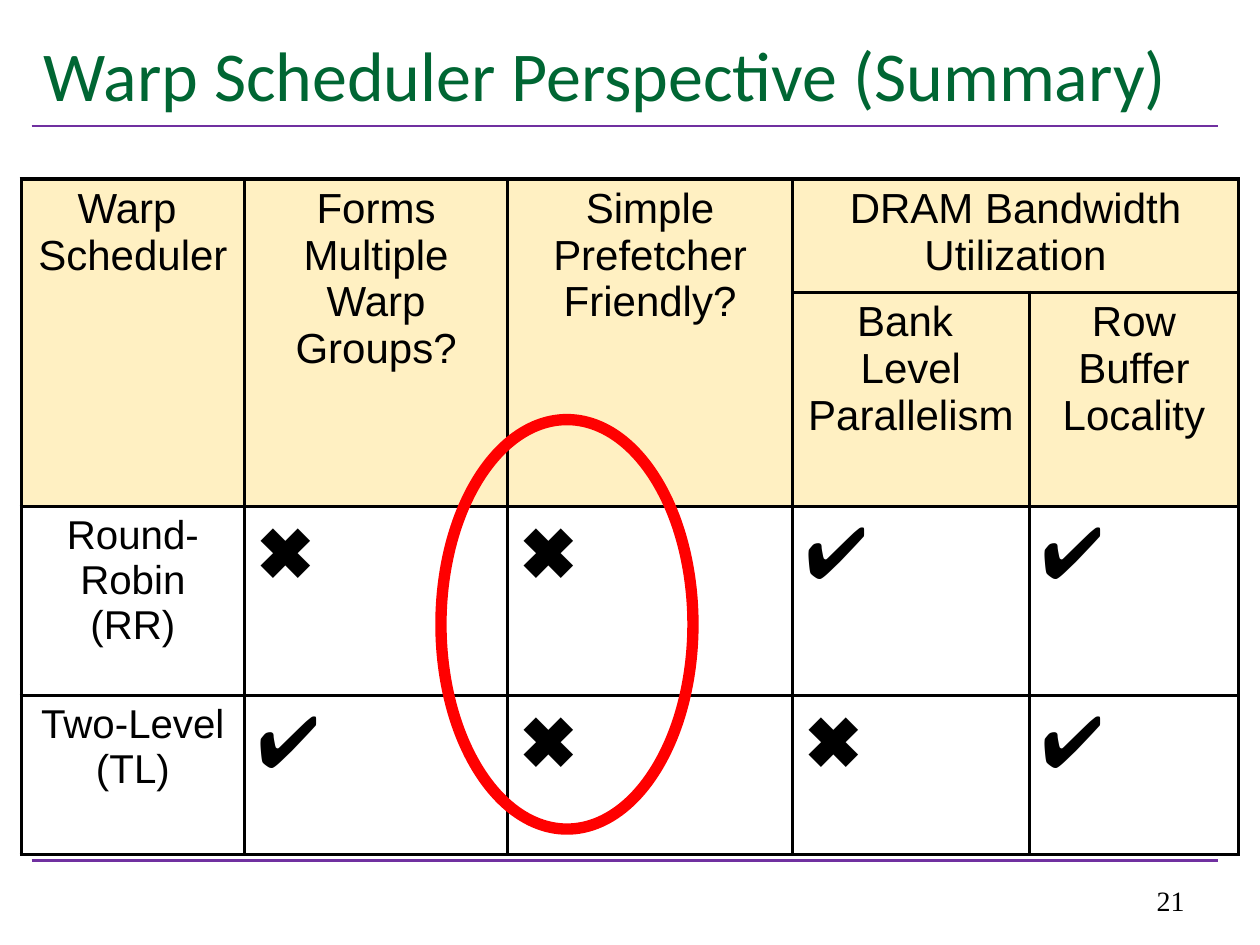
import pptx
import pptx.util
import pptx.dml.color
import pptx.enum.shapes
import pptx.enum.text
import pptx.oxml
import pptx.oxml.ns

Inches = pptx.util.Inches
Pt = pptx.util.Pt
RGB = pptx.dml.color.RGBColor
Align = pptx.enum.text.PP_ALIGN
Anchor = pptx.enum.text.MSO_ANCHOR

GREEN = RGB(0x00, 0x66, 0x33)
PURPLE = RGB(0x70, 0x30, 0xA0)
CREAM = RGB(0xFF, 0xF0, 0xC2)
RED = RGB(0xFF, 0x00, 0x00)
BLACK = RGB(0x00, 0x00, 0x00)

NO, YES = "\u2716", "\u2714"


class Page:
    font = "Arial"
    edge = 2.25

    def __init__(self, slide):
        self.slide = slide
        self.shapes = slide.shapes

    def label(self, frame, text, size, font=None, color=BLACK, align=Align.LEFT):
        frame.text = text
        for para in frame.paragraphs:
            para.alignment = align
            para.font.size = Pt(size)
            para.font.name = font or self.font
            para.font.color.rgb = color

    def text(self, box, text, size, font, color, align, anchor):
        frame = self.shapes.add_textbox(*map(Inches, box)).text_frame
        frame.word_wrap = True
        frame.vertical_anchor = anchor
        self.label(frame, text, size, font, color, align)

    def rule(self, left, right, top):
        kind = pptx.enum.shapes.MSO_CONNECTOR.STRAIGHT
        line = self.shapes.add_connector(
            kind, Inches(left), Inches(top), Inches(right), Inches(top))
        line.line.color.rgb = PURPLE
        line.line.width = Pt(1.5)
        props = line._element.spPr
        props.append(pptx.oxml.parse_xml(
            "<a:effectLst %s/>" % pptx.oxml.ns.nsdecls("a")))

    def ring(self, box, color, width):
        kind = pptx.enum.shapes.MSO_SHAPE.OVAL
        ring = self.shapes.add_shape(kind, *map(Inches, box))
        ring.shadow.inherit = False
        ring.fill.background()
        ring.line.color.rgb = color
        ring.line.width = Pt(width)

    def border(self, cell):
        props = cell._tc.get_or_add_tcPr()
        for spot, side in enumerate(("lnL", "lnR", "lnT", "lnB")):
            props.insert(spot, pptx.oxml.parse_xml(
                '<a:%s %s w="%d"><a:solidFill><a:srgbClr val="%s"/></a:solidFill></a:%s>'
                % (side, pptx.oxml.ns.nsdecls("a"), Pt(self.edge), BLACK, side)))

    def table(self, left, top, cols, rows, head):
        box = map(Inches, (left, top, sum(cols), sum(rows)))
        grid = self.shapes.add_table(len(rows), len(cols), *box).table
        for col, width in zip(grid.columns, cols):
            col.width = Inches(width)
        for row, height in zip(grid.rows, rows):
            row.height = Inches(height)
        for num, row in enumerate(grid.rows):
            for cell in row.cells:
                if num < head:
                    cell.fill.solid()
                    cell.fill.fore_color.rgb = CREAM
                else:
                    cell.fill.background()
                self.border(cell)
        return grid


deck = pptx.Presentation()
deck.slide_width, deck.slide_height = Inches(10), Inches(7.5)
page = Page(deck.slides.add_slide(deck.slide_layouts[6]))

# Rules, title and page number
for top in (6.83, 1):
    page.rule(0.25, 9.67, top)
page.text((0.25, 0.17, 9.42, 0.83), "Warp Scheduler Perspective (Summary)",
          40, "Calibri", GREEN, Align.LEFT, Anchor.MIDDLE)
page.text((7.17, 6.83, 2.33, 0.5), "21",
          16, "Times New Roman", BLACK, Align.RIGHT, Anchor.BOTTOM)

# Table grid with merged heads
grid = page.table(0.17, 1.42, (1.77, 2.09, 2.26, 1.88, 1.66),
                  (0.9, 1.59, 1.5, 1.26), head=2)
for col in range(3):
    grid.cell(0, col).merge(grid.cell(1, col))
grid.cell(0, 3).merge(grid.cell(0, 4))

# Head text
heads = {
    (0, 0): "Warp \nScheduler",
    (0, 1): "Forms Multiple Warp Groups?",
    (0, 2): "Simple\nPrefetcher Friendly?",
    (0, 3): "DRAM Bandwidth Utilization",
    (1, 3): "Bank \nLevel Parallelism",
    (1, 4): "Row Buffer Locality",
}
for spot, text in heads.items():
    page.label(grid.cell(*spot).text_frame, text, 24, align=Align.CENTER)

# Schedulers and their marks
body = (
    ("Round-Robin\n(RR)", NO, NO, YES, YES),
    ("Two-Level\n(TL)", YES, NO, NO, YES),
)
for row, (name, *marks) in enumerate(body, 2):
    page.label(grid.cell(row, 0).text_frame, name, 23, align=Align.CENTER)
    for col, mark in enumerate(marks, 1):
        page.label(grid.cell(row, col).text_frame, mark, 41)

# Highlight
page.ring((3.5, 3.33, 2, 3.25), RED, 6.5)

deck.save("out.pptx")
